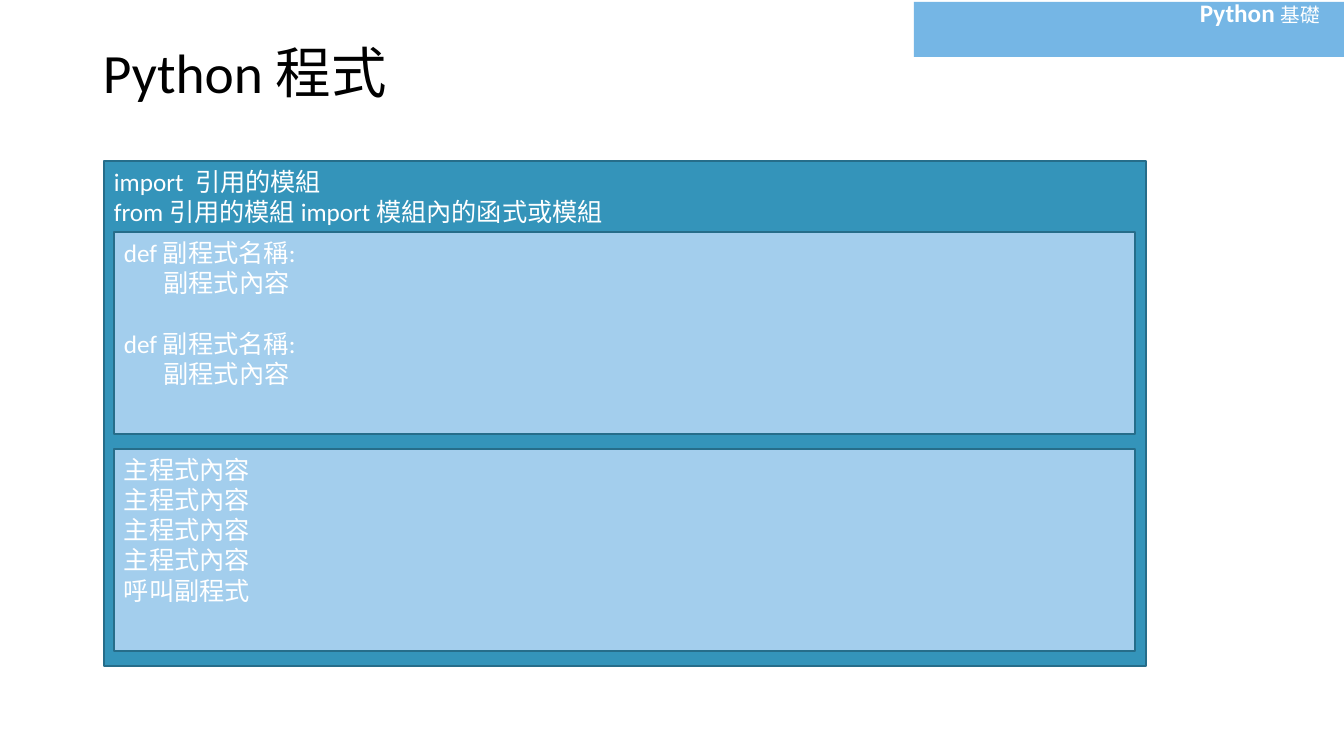
from dataclasses import dataclass

from pptx import Presentation
from pptx.dml.color import RGBColor
from pptx.enum.shapes import MSO_SHAPE
from pptx.enum.text import MSO_ANCHOR, PP_ALIGN
from pptx.util import Emu, Pt

RECTANGLE = MSO_SHAPE.RECTANGLE
TOP, MIDDLE = MSO_ANCHOR.TOP, MSO_ANCHOR.MIDDLE
LEFT = PP_ALIGN.LEFT
EMU_PER_PX = 914400 / 100.8


@dataclass(frozen=True)
class Theme:
    font: str = "Calibri"
    black: str = "000000"
    white: str = "FFFFFF"
    banner: str = "75B6E5"
    program: str = "3494BA"
    section: str = "A3CEED"
    outline: str = "266D8A"
    title_size: float = 39.6
    body_size: float = 18
    small_size: float = 14
    blank_line: float = 22


THEME = Theme()


def px(length):
    return Emu(round(length * EMU_PER_PX))


def color(value):
    return RGBColor.from_string(value)


def add_run(paragraph, text, size=THEME.body_size, ink=THEME.white, bold=False):
    run = paragraph.add_run()
    run.text = text
    run.font.name = THEME.font
    run.font.size = Pt(size)
    run.font.bold = bold
    run.font.color.rgb = color(ink)


def add_text_box(slide, box, anchor=TOP):
    text_frame = slide.shapes.add_textbox(*map(px, box)).text_frame
    text_frame.word_wrap = True
    text_frame.vertical_anchor = anchor
    return text_frame


def add_rectangle(slide, box, fill, outline=None):
    shape = slide.shapes.add_shape(RECTANGLE, *map(px, box))
    shape.shadow.inherit = False
    shape.fill.solid()
    shape.fill.fore_color.rgb = color(fill)
    if outline:
        shape.line.color.rgb = color(outline)
        shape.line.width = Pt(1)
    else:
        shape.line.fill.background()
    return shape


def add_code_block(slide, box, fill, groups):
    """Place a filled block; groups of lines are set one blank line apart."""
    text_frame = add_rectangle(slide, box, fill, THEME.outline).text_frame
    text_frame.word_wrap = True
    text_frame.vertical_anchor = TOP
    paragraph = None
    for group in groups:
        for index, line in enumerate(group):
            is_first = paragraph is None
            paragraph = text_frame.paragraphs[0] if is_first else text_frame.add_paragraph()
            paragraph.alignment = LEFT
            if index == 0 and not is_first:
                paragraph.space_before = Pt(THEME.blank_line)
            add_run(paragraph, line)


def add_banner(slide, box):
    left, top, width, height = box
    add_rectangle(slide, box, THEME.banner)
    label_box = (left + 276, top - 10, 141, 40)
    paragraph = add_text_box(slide, label_box).paragraphs[0]
    add_run(paragraph, "Python ", bold=True)
    add_run(paragraph, "基礎", THEME.small_size)


def add_title(slide, box):
    paragraph = add_text_box(slide, box, MIDDLE).paragraphs[0]
    paragraph.line_spacing = 0.9
    add_run(paragraph, "Python 程式", THEME.title_size, THEME.black)


def add_program(slide, box):
    left, top, width, height = box
    imports = ["import  引用的模組", "from 引用的模組 import 模組內的函式或模組"]
    add_code_block(slide, box, THEME.program, [imports])

    # Subprograms above, main program below
    subprogram = ["def 副程式名稱:", "       副程式內容"]
    main_program = ["主程式內容"] * 4 + ["呼叫副程式"]
    section_height, gap = 202, 15
    for row, groups in enumerate([[subprogram] * 2, [main_program]]):
        section_top = top + 71 + row * (section_height + gap)
        section_box = (left + 10, section_top, width - 21, section_height)
        add_code_block(slide, section_box, THEME.section, groups)


def main():
    presentation = Presentation()
    presentation.slide_width = px(1344)
    presentation.slide_height = px(756)
    slide = presentation.slides.add_slide(presentation.slide_layouts[6])
    add_banner(slide, (914, 2, 430, 55))
    add_title(slide, (93, 40, 1159, 71))
    add_program(slide, (104, 161, 1042, 505))
    presentation.save("out.pptx")


if __name__ == "__main__":
    main()
